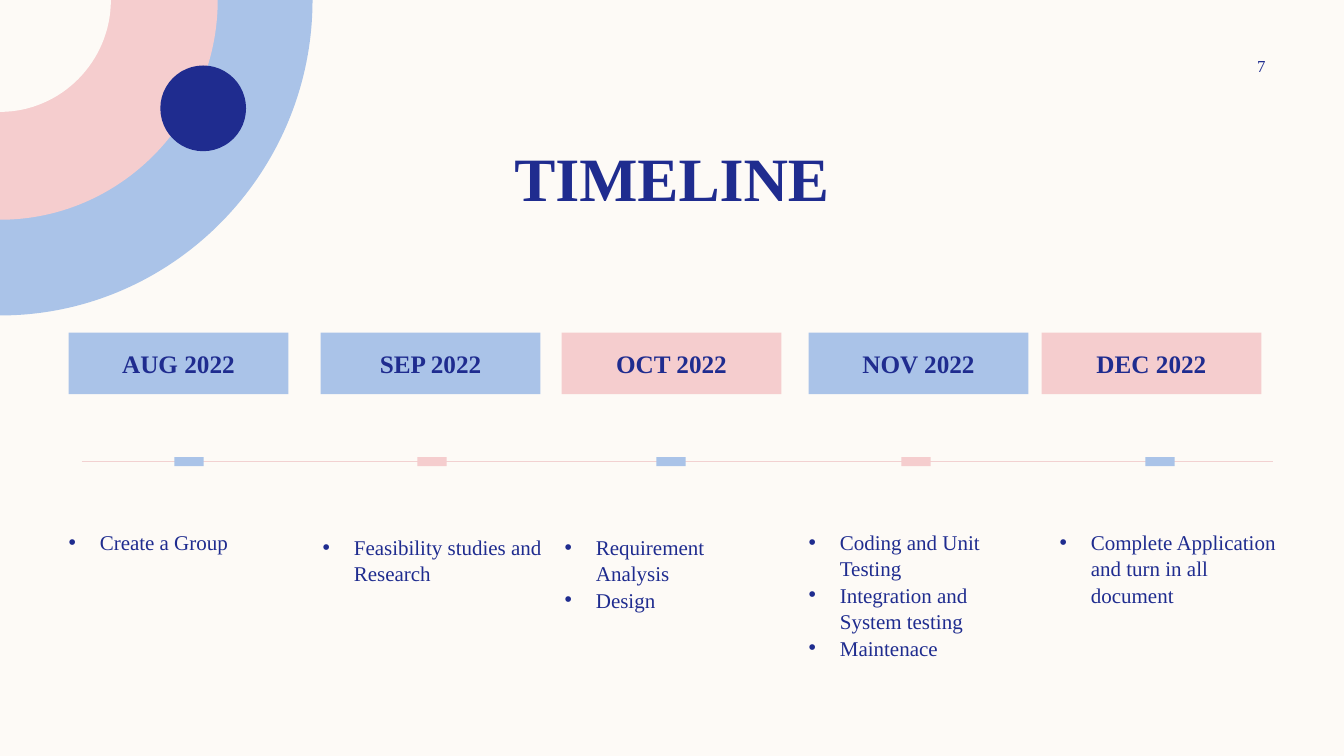
from lxml import etree
from pptx import Presentation
from pptx.dml.color import RGBColor
from pptx.enum.shapes import MSO_CONNECTOR, MSO_SHAPE
from pptx.enum.text import MSO_ANCHOR, PP_ALIGN
from pptx.oxml.ns import qn
from pptx.util import Inches, Pt

CREAM = RGBColor(0xFD, 0xFA, 0xF6)
BLUE = RGBColor(0xAA, 0xC3, 0xE8)
PINK = RGBColor(0xF5, 0xCD, 0xCE)
NAVY = RGBColor(0x1F, 0x2C, 0x8F)
LINE = RGBColor(0xF2, 0xD1, 0xD1)
RECT, OVAL = MSO_SHAPE.RECTANGLE, MSO_SHAPE.OVAL
STRAIGHT = MSO_CONNECTOR.STRAIGHT
LEFT, CENTER = PP_ALIGN.LEFT, PP_ALIGN.CENTER
TOP, MIDDLE, BOTTOM = MSO_ANCHOR.TOP, MSO_ANCHOR.MIDDLE, MSO_ANCHOR.BOTTOM
FONT = "Times New Roman"

# month, label left, label colour, marker left, marker colour, tasks left and top, tasks
MONTHS = [
    ("AUG 2022", 0.68, BLUE, 1.83, BLUE, (0.68, 5.19), ["Create a Group"]),
    ("SEP 2022", 3.18, BLUE, 4.24, PINK, (3.2, 5.24),
     ["Feasibility studies and Research"]),
    ("OCT 2022", 5.57, PINK, 6.61, BLUE, (5.6, 5.24),
     ["Requirement Analysis\u00a0", "Design"]),
    ("NOV 2022", 8.02, BLUE, 9.04, PINK, (8.02, 5.19),
     ["Coding and Unit Testing", "Integration and System testing", "Maintenace"]),
    ("DEC 2022", 10.33, PINK, 11.46, BLUE, (10.51, 5.19),
     ["Complete Application and turn in all document"]),
]
# Quarter discs in the corner, largest first: width, height, colour
RINGS = [(3.1, 3.13, BLUE), (2.16, 2.18, PINK), (1.1, 1.11, CREAM)]
CURVE = 0.55  # handle length of a quarter circle, as a share of its radius
COLUMN_W, LABEL_TOP, LABEL_H = 2.18, 3.3, 0.61
AXIS_Y, AXIS_LEFT, AXIS_RIGHT = 4.58, 0.81, 12.63
MARKER_W, MARKER_H = 0.09, 0.29  # before the quarter turn
INDENT = 0.31

prs = Presentation()
prs.slide_width, prs.slide_height = Inches(13.33), Inches(7.5)
slide = prs.slides.add_slide(prs.slide_layouts[6])
slide.background.fill.solid()
slide.background.fill.fore_color.rgb = CREAM


def paint(s, color):
    """Give a shape a flat fill with no outline or shadow."""
    s.shadow.inherit = False
    s.fill.solid()
    s.fill.fore_color.rgb = color
    s.line.fill.background()
    return s


def add_block(kind, x, y, w, h, color):
    """Add a flat preset shape."""
    box = [Inches(v) for v in (x, y, w, h)]
    return paint(slide.shapes.add_shape(kind, *box), color)


def add_quarter_disc(w, h, color):
    """Add a quarter ellipse centred on the slide's top left corner."""
    points = [(w, h * CURVE), (w * CURVE, h), (0, h), (0, 0)]
    builder = slide.shapes.build_freeform(Inches(w), 0)
    builder.add_line_segments([(Inches(x), Inches(y)) for x, y in points])
    s = paint(builder.convert_to_shape(), color)
    # The first three segments become one Bezier curve
    first, *rest = s._element.findall(".//" + qn("a:lnTo"))[:3]
    first.tag = qn("a:cubicBezTo")
    for segment in rest:
        first.append(segment[0])
        segment.getparent().remove(segment)


def add_bullet(p):
    """Turn a paragraph into a bullet with a hanging indent."""
    pPr = p._p.get_or_add_pPr()
    pPr.set("marL", str(Inches(INDENT)))
    pPr.set("indent", str(-Inches(INDENT)))
    etree.SubElement(pPr, qn("a:buFont")).set("typeface", "Arial")
    etree.SubElement(pPr, qn("a:buChar")).set("char", "•")


def write(s, lines, size, bold=False, align=CENTER, anchor=MIDDLE,
          inset=(0, 0), spacing=None, bullets=False):
    """Write one paragraph per line into a shape."""
    tf = s.text_frame
    tf.word_wrap = True
    tf.vertical_anchor = anchor
    tf.margin_left = tf.margin_right = Inches(inset[0])
    tf.margin_top = tf.margin_bottom = Inches(inset[1])
    for i, line in enumerate(lines):
        p = tf.add_paragraph() if i else tf.paragraphs[0]
        p.alignment = align
        p.line_spacing = spacing
        if bullets:
            add_bullet(p)
        r = p.add_run()
        r.text = line
        r.font.name, r.font.size, r.font.bold = FONT, Pt(size), bold
        r.font.color.rgb = NAVY


def add_text(x, y, w, h, lines, size, **fmt):
    """Add a text box."""
    box = [Inches(v) for v in (x, y, w, h)]
    write(slide.shapes.add_textbox(*box), lines, size, **fmt)


for w, h, color in RINGS:
    add_quarter_disc(w, h, color)
add_block(OVAL, 1.59, 0.65, 0.85, 0.85, NAVY)

axis = slide.shapes.add_connector(STRAIGHT, Inches(AXIS_LEFT), Inches(AXIS_Y),
                                  Inches(AXIS_RIGHT), Inches(AXIS_Y))
axis.line.color.rgb, axis.line.width = LINE, Pt(1)
etree.SubElement(axis._element.spPr, qn("a:effectLst"))

add_text(0.83, 1.33, 11.67, 0.84, ["TIMELINE"], 44, bold=True,
         anchor=BOTTOM, inset=(0.1, 0.05))
add_text(11.97, 0.5, 1.08, 0.3, ["7"], 12, inset=(0.1, 0.05))

for month, x, color, marker_x, marker_color, tasks_at, tasks in MONTHS:
    label = add_block(RECT, x, LABEL_TOP, COLUMN_W, LABEL_H, color)
    write(label, [month], 18, bold=True)
    marker = add_block(RECT, marker_x, AXIS_Y - MARKER_H / 2,
                       MARKER_W, MARKER_H, marker_color)
    marker.rotation = 270
    add_text(*tasks_at, COLUMN_W, 0.87, tasks, 15, align=LEFT, anchor=TOP,
             inset=(0, 0.05), spacing=1.05, bullets=True)

prs.save("out.pptx")
